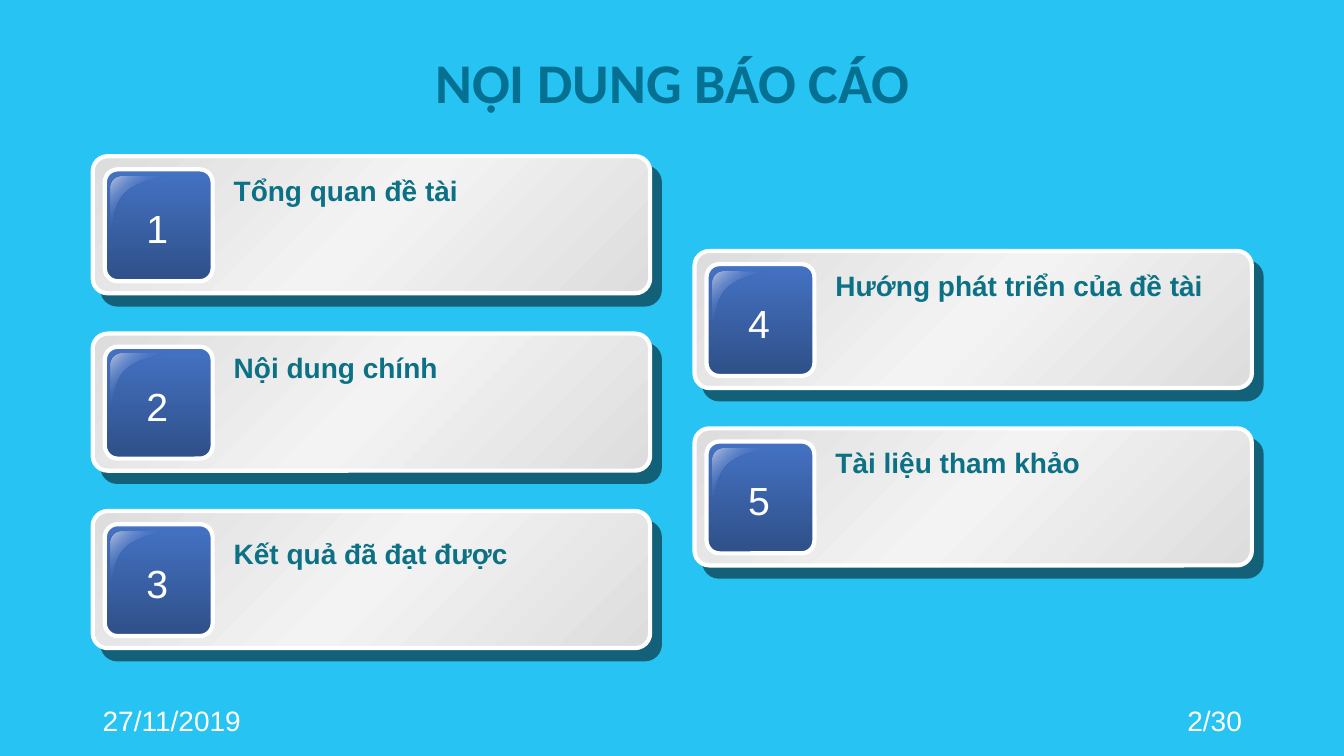
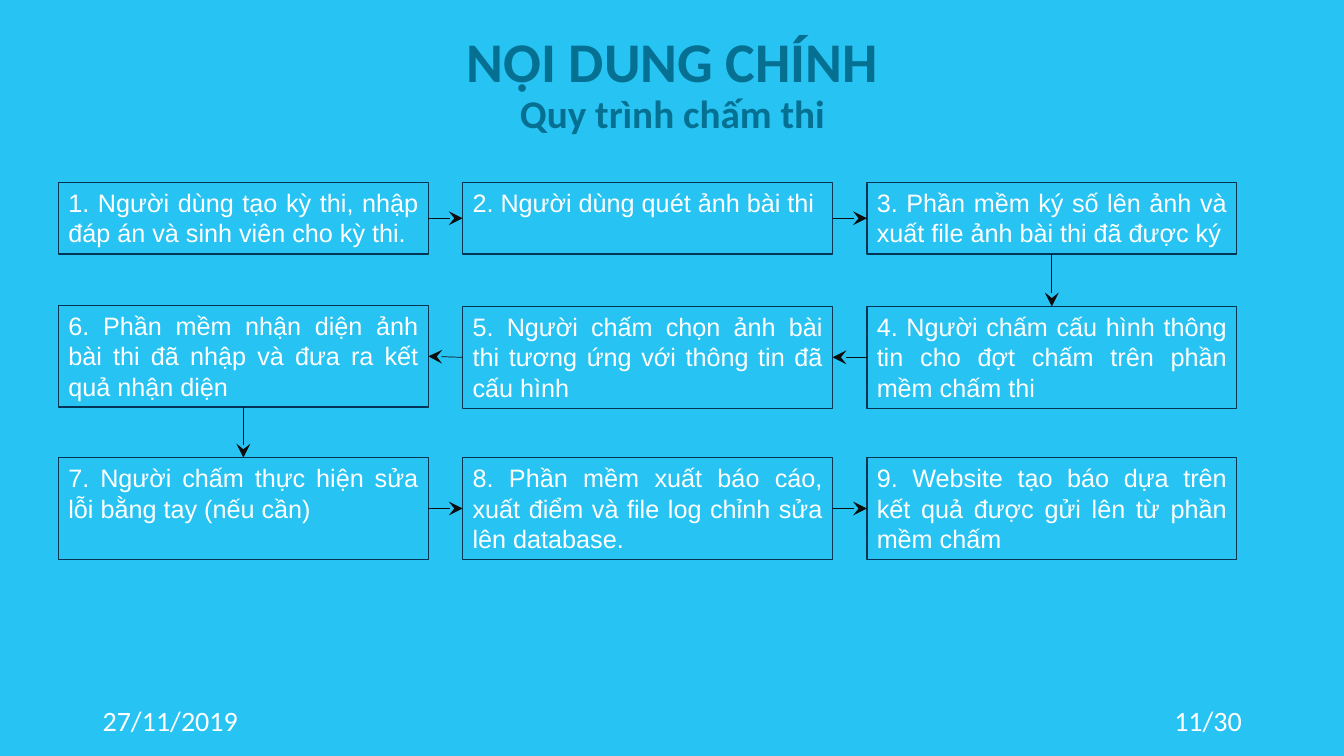
"""Build the agenda and exam-marking process slides."""
from dataclasses import dataclass
from itertools import pairwise

from lxml import etree
from pptx import Presentation
from pptx.dml.color import RGBColor
from pptx.enum import shapes, text
from pptx.oxml.ns import qn
from pptx.util import Inches, Pt

COLORS = {
    "background": "27C3F3",
    "title": "057091",
    "label": "0C7185",
    "white": "FFFFFF",
    "box_line": "033453",
    "arrow": "0D0D0D",
    "card_edge": "DDDDDD",
    "card_middle": "F3F3F3",
    "button_top": "4472C4",
    "button_bottom": "2F5088",
    "gloss": "B9C3E1",
    "shadow": "000000",
}
LEFT, RIGHT_COLUMN, CONTENT_WIDTH = 0.92, 6.89, 11.5
CARD_WIDTH, CARD_HEIGHT, CARD_PITCH = 5.53, 1.36, 1.76
BOX_LEFT, BOX_WIDTH, BOX_PITCH = 0.58, 3.67, 4.01
BOX_ROWS = [(1.81, 0.71), (3.04, 1.01), (4.54, 1.01)]
GLOSS_LEFT, GLOSS_TOP = 0.18, 0.2
GLOSS_START = (0.11, 0)
GLOSS_SEGMENTS = [
    ((0.05, 0), (0, 0.05), (0, 0.11)),
    ((0, 0.55),),
    ((0.03, 0.55), (0.01, 0.28), (0.15, 0.16)),
    ((0.28, 0.03), (0.54, 0.02), (0.53, 0)),
]


@dataclass(frozen=True)
class Card:
    number: int
    label: str
    left: float
    top: float
    label_drop: float = 0.12


@dataclass(frozen=True)
class Step:
    caption: str
    column: int
    row: int
    lift: float = 0


@dataclass(frozen=True)
class Stop:
    position: int
    color: str
    alpha: int = 100


CARDS = [
    Card(1, "Tổng quan đề tài", LEFT, 1.55),
    Card(2, "Nội dung chính", LEFT, 1.55 + CARD_PITCH),
    Card(3, "Kết quả đã đạt được", LEFT, 1.55 + 2 * CARD_PITCH, 0.2),
    Card(4, "Hướng phát triển của đề tài", RIGHT_COLUMN, 2.49),
    Card(5, "Tài liệu tham khảo", RIGHT_COLUMN, 2.49 + CARD_PITCH),
]
STEPS = [
    Step("1. Người dùng tạo kỳ thi, nhập đáp án và sinh viên cho kỳ thi.", 0, 0),
    Step("2. Người dùng quét ảnh bài thi", 1, 0),
    Step("3. Phần mềm ký số lên ảnh và xuất file ảnh bài thi đã được ký", 2, 0),
    Step("4. Người chấm cấu hình thông tin cho đợt chấm trên phần mềm chấm thi", 2, 1),
    Step("5. Người chấm chọn ảnh bài thi tương ứng với thông tin đã cấu hình", 1, 1),
    Step("6. Phần mềm nhận diện ảnh bài thi đã nhập và đưa ra kết quả nhận diện", 0, 1, 0.01),
    Step("7. Người chấm thực hiện sửa lỗi bằng tay (nếu cần)", 0, 2),
    Step("8. Phần mềm xuất báo cáo, xuất điểm và file log chỉnh sửa lên database.", 1, 2),
    Step("9. Website tạo báo dựa trên kết quả được gửi lên từ phần mềm chấm", 2, 2),
]
CARD_STOPS = [Stop(0, "card_edge"), Stop(50, "card_middle"), Stop(100, "card_edge")]
BUTTON_STOPS = [Stop(0, "button_top"), Stop(100, "button_bottom")]
GLOSS_STOPS = [Stop(0, "gloss"), Stop(50, "button_top", 0), Stop(100, "gloss")]


def rgb(name: str) -> RGBColor:
    return RGBColor.from_string(COLORS[name])


def add_color(parent, name: str, alpha: int) -> None:
    color = etree.SubElement(parent, qn("a:srgbClr"), val=COLORS[name])
    if alpha < 100:
        etree.SubElement(color, qn("a:alpha"), val=str(alpha * 1000))


def set_gradient(sp, stops: list[Stop], angle: int) -> None:
    sp.fill.gradient()
    gradient = sp._element.spPr.find(qn("a:gradFill"))
    gradient.clear()
    stop_list = etree.SubElement(gradient, qn("a:gsLst"))
    for stop in stops:
        gs = etree.SubElement(stop_list, qn("a:gs"), pos=str(stop.position * 1000))
        add_color(gs, stop.color, stop.alpha)
    etree.SubElement(gradient, qn("a:lin"), ang=str(angle * 60000), scaled="0")


def set_text(tf, content: str, size: float, color: str, font: str = "Arial",
             bold: bool = False, align=text.PP_ALIGN.LEFT,
             anchor=text.MSO_ANCHOR.TOP, wrap: bool = True) -> None:
    tf.text = content
    tf.word_wrap = wrap
    tf.auto_size = text.MSO_AUTO_SIZE.NONE
    tf.vertical_anchor = anchor
    for p in tf.paragraphs:
        p.alignment = align
        for r in p.runs:
            r.font.name, r.font.size, r.font.bold = font, Pt(size), bold
            r.font.color.rgb = rgb(color)


def add_text(container, left: float, top: float, width: float, height: float,
             content: str, size: float, color: str, **style) -> None:
    box = container.add_textbox(Inches(left), Inches(top), Inches(width), Inches(height))
    set_text(box.text_frame, content, size, color, **style)


def add_slide(prs, title: str, page: str, footer_font: str):
    s = prs.slides.add_slide(prs.slide_layouts[5])
    sp = s.shapes.title
    sp.left, sp.top = Inches(LEFT), Inches(0.15)
    sp.width, sp.height = Inches(CONTENT_WIDTH), Inches(1.4)
    set_text(sp.text_frame, title, 40, "title", "Calibri", True,
             text.PP_ALIGN.CENTER, text.MSO_ANCHOR.MIDDLE)
    p = sp.text_frame.paragraphs[0]
    p.line_spacing = 0.9
    for r in p.runs[1:]:
        r.font.size = Pt(28)
    footers = [(LEFT, "27/11/2019", text.PP_ALIGN.LEFT),
               (LEFT + CONTENT_WIDTH - 3, page, text.PP_ALIGN.RIGHT)]
    for left, content, align in footers:
        add_text(s.shapes, left, 6.95, 3, 0.4, content, 20, "white",
                 font=footer_font, align=align, anchor=text.MSO_ANCHOR.MIDDLE)
    return s


def add_panel(container, left: float, top: float, width: float, height: float,
              radius: float, stops: list[Stop], angle: int):
    sp = container.add_shape(shapes.MSO_SHAPE.ROUNDED_RECTANGLE, Inches(left),
                             Inches(top), Inches(width), Inches(height))
    sp.adjustments[0] = radius
    sp.shadow.inherit = False
    set_gradient(sp, stops, angle)
    sp.line.color.rgb = rgb("white")
    sp.line.width = Pt(3)
    return sp


def add_gloss(container, left: float, top: float) -> None:
    def place(x: float, y: float) -> tuple[int, int]:
        return Inches(left + x), Inches(top + y)

    builder = container.build_freeform(*place(*GLOSS_START))
    builder.add_line_segments([place(*segment[-1]) for segment in GLOSS_SEGMENTS])
    sp = builder.convert_to_shape()
    outline = next(sp._element.iter(qn("a:path")))
    for line, segment in zip(outline.findall(qn("a:lnTo")), GLOSS_SEGMENTS):
        if len(segment) == 3:
            curve = etree.Element(qn("a:cubicBezTo"))
            for x, y in segment:
                etree.SubElement(curve, qn("a:pt"), x=str(Inches(x)), y=str(Inches(y)))
            outline.replace(line, curve)
    etree.SubElement(outline, qn("a:close"))
    sp.shadow.inherit = False
    set_gradient(sp, GLOSS_STOPS, 45)
    sp.line.fill.background()


def add_card(s, card: Card) -> None:
    group = s.shapes.add_group_shape().shapes
    left, top = card.left, card.top
    panel = add_panel(group, left, top, CARD_WIDTH, CARD_HEIGHT, 0.109, CARD_STOPS, 45)
    effects = panel._element.spPr.find(qn("a:effectLst"))
    shadow = etree.SubElement(effects, qn("a:outerShdw"), blurRad="0",
                              dist=str(Pt(10.6)), dir=str(49 * 60000),
                              algn="ctr", rotWithShape="0")
    add_color(shadow, "shadow", 50)
    add_panel(group, left + 0.12, top + 0.13, 1.07, 1.11, 0.119, BUTTON_STOPS, 90)
    add_gloss(group, left + GLOSS_LEFT, top + GLOSS_TOP)
    add_text(group, left + 0.43, top + 0.43, 0.42, 0.57, str(card.number), 28,
             "white", align=text.PP_ALIGN.CENTER, wrap=False)
    add_text(group, left + 1.3, top + card.label_drop, 4.06, 0.44, card.label, 20,
             "label", bold=True)


def add_step(s, step: Step):
    top, height = BOX_ROWS[step.row]
    sp = s.shapes.add_shape(shapes.MSO_SHAPE.RECTANGLE,
                            Inches(BOX_LEFT + step.column * BOX_PITCH),
                            Inches(top - step.lift), Inches(BOX_WIDTH), Inches(height))
    sp.shadow.inherit = False
    sp.fill.background()
    sp.line.color.rgb = rgb("box_line")
    sp.line.width = Pt(1)
    set_text(sp.text_frame, step.caption, 18, "white", align=text.PP_ALIGN.JUSTIFY)
    return sp


def add_arrow(s, start, end, start_side: int, end_side: int) -> None:
    arrow = s.shapes.add_connector(shapes.MSO_CONNECTOR.STRAIGHT, 0, 0, 0, 0)
    arrow.begin_connect(start, start_side)
    arrow.end_connect(end, end_side)
    arrow.line.color.rgb = rgb("arrow")
    arrow.line.width = Pt(0.5)
    properties = arrow._element.spPr
    etree.SubElement(properties.find(qn("a:ln")), qn("a:tailEnd"),
                     type="stealth", w="lg", len="lg")
    etree.SubElement(properties, qn("a:effectLst"))


def build_agenda(prs) -> None:
    s = add_slide(prs, "NỘI DUNG BÁO CÁO", "2/30", "Arial")
    for card in CARDS:
        add_card(s, card)


def build_process(prs) -> None:
    s = add_slide(prs, "NỘI DUNG CHÍNH\vQuy trình chấm thi", "11/30", "Calibri")
    boxes = [(step, add_step(s, step)) for step in STEPS]
    for (step, box), (next_step, next_box) in pairwise(boxes):
        if step.row != next_step.row:
            sides = (2, 0)
        elif step.column < next_step.column:
            sides = (3, 1)
        else:
            sides = (1, 3)
        add_arrow(s, box, next_box, *sides)


def main() -> None:
    prs = Presentation()
    prs.slide_width, prs.slide_height = Inches(40 / 3), Inches(7.5)
    background = prs.slide_master.background.fill
    background.solid()
    background.fore_color.rgb = rgb("background")
    build_agenda(prs)
    build_process(prs)
    prs.save("out.pptx")


if __name__ == "__main__":
    main()
